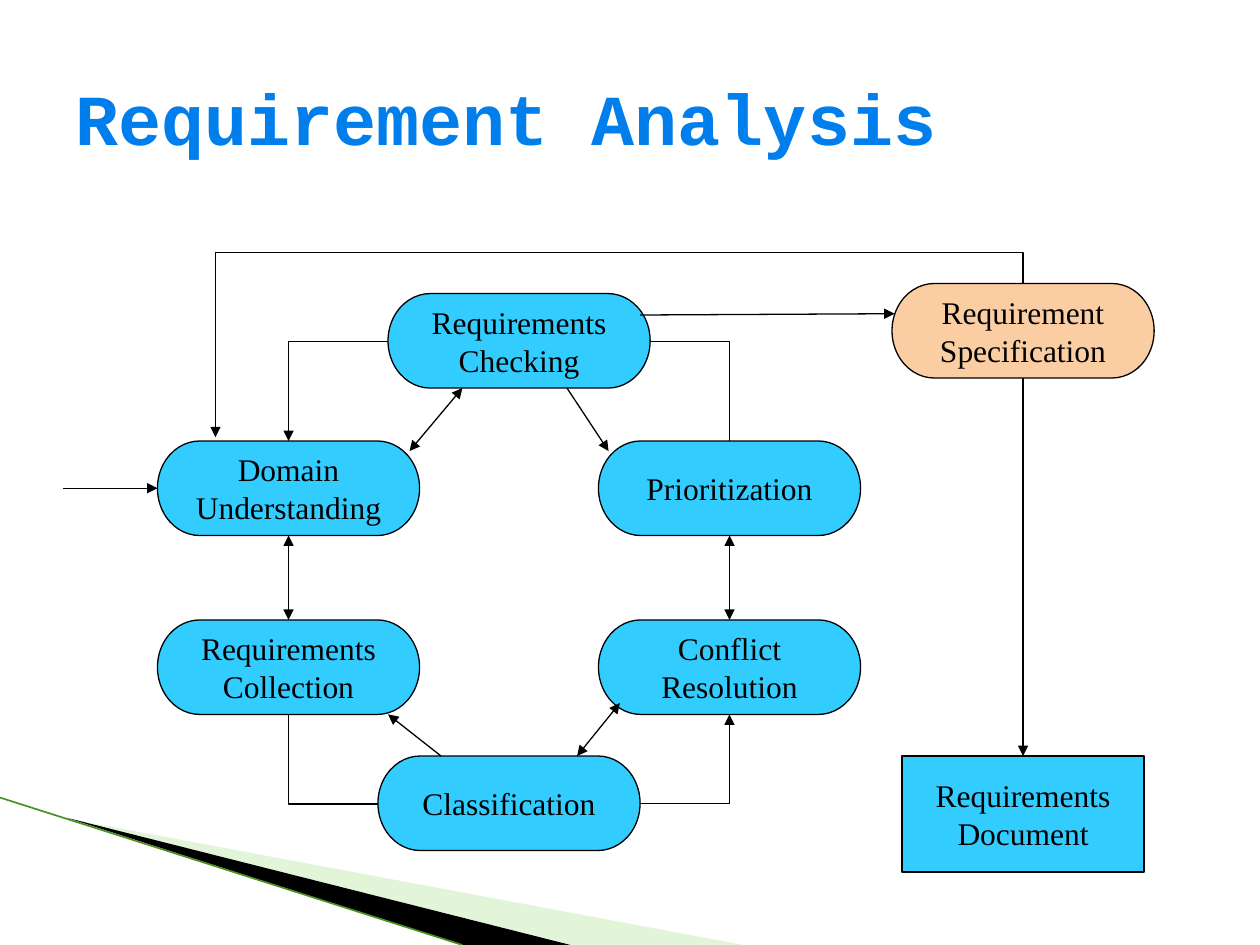
from lxml import etree
from pptx import Presentation
from pptx.dml.color import RGBColor
from pptx.enum.shapes import MSO_CONNECTOR, MSO_SHAPE
from pptx.enum.text import MSO_ANCHOR, PP_ALIGN
from pptx.oxml.ns import qn
from pptx.util import Inches, Pt

PILL = MSO_SHAPE.FLOWCHART_TERMINATOR
RECT = MSO_SHAPE.RECTANGLE
STRAIGHT = MSO_CONNECTOR.STRAIGHT
ELBOW = MSO_CONNECTOR.ELBOW
MIDDLE = MSO_ANCHOR.MIDDLE
CENTER = PP_ALIGN.CENTER
TOP, LEFT, BOTTOM, RIGHT = range(4)

COLORS = {"title": "007EEB", "node": "33CCFF", "spec": "FBCDA3",
          "ink": "000000", "pale": "B8E7A1", "edge": "4E9020"}


class Chart:
    def __init__(self, slide):
        self.shapes = slide.shapes
        self.font = "Times New Roman"

    def color(self, name):
        return RGBColor.from_string(COLORS[name])

    def style(self, para, size, color, font, bold=False):
        para.font.size = Pt(size)
        para.font.name = font
        para.font.bold = bold
        para.font.color.rgb = self.color(color)

    def title(self, text):
        box = self.shapes.add_textbox(Inches(0.5), Inches(0.3), Inches(9), Inches(1.25))
        frame = box.text_frame
        frame.word_wrap = True
        frame.vertical_anchor = MIDDLE
        frame.text = text
        self.style(frame.paragraphs[0], 41, "title", "Courier New", True)

    def node(self, x, y, text, fill="node", kind=PILL, w=2.08, h=0.75):
        shape = self.shapes.add_shape(kind, Inches(x), Inches(y), Inches(w), Inches(h))
        shape.shadow.inherit = False
        shape.fill.solid()
        shape.fill.fore_color.rgb = self.color(fill)
        shape.line.color.rgb = self.color("ink")
        shape.line.width = Pt(0.75)
        frame = shape.text_frame
        frame.word_wrap = False
        frame.vertical_anchor = MIDDLE
        frame.text = text
        for para in frame.paragraphs:
            para.alignment = CENTER
            self.style(para, 18, "ink", self.font)
        return shape

    def line(self, start, end, head=False, tail=True, kind=STRAIGHT, color="ink", width=0.75):
        link = self.shapes.add_connector(kind, *map(Inches, start + end))
        link.line.color.rgb = self.color(color)
        link.line.width = Pt(width)
        props = link._element.spPr
        outline = props.find(qn("a:ln"))
        for tag, shown in (("a:headEnd", head), ("a:tailEnd", tail)):
            if shown:
                etree.SubElement(outline, qn(tag), type="triangle")
        etree.SubElement(props, qn("a:effectLst"))
        return link

    def join(self, source, out, target, into, head=False):
        link = self.line((0, 0), (1, 1), head)
        link.begin_connect(source, out)
        link.end_connect(target, into)

    def bend(self, start, end, upright=False, tail=True, adjust=()):
        if upright:
            mid_x, mid_y = (start[0] + end[0]) / 2, (start[1] + end[1]) / 2
            half_x, half_y = (end[0] - start[0]) / 2, (end[1] - start[1]) / 2
            start = (mid_x - half_y, mid_y + half_x)
            end = (mid_x + half_y, mid_y - half_x)
        link = self.line(start, end, tail=tail, kind=ELBOW)
        props = link._element.spPr
        if upright:
            props.find(qn("a:xfrm")).set("rot", "5400000")
        shape = props.find(qn("a:prstGeom"))
        shape.set("prst", f"bentConnector{2 + len(adjust)}")
        guides = shape.find(qn("a:avLst"))
        for index, value in enumerate(adjust, 1):
            etree.SubElement(guides, qn("a:gd"), name=f"adj{index}",
                             fmla=f"val {round(value * 100000)}")

    def wedge(self, points, fill, alpha=100):
        first, *rest = [tuple(map(Inches, point)) for point in points]
        path = self.shapes.build_freeform(*first, scale=1.0)
        path.add_line_segments(rest, close=True)
        shape = path.convert_to_shape()
        shape.shadow.inherit = False
        shape.fill.solid()
        shape.fill.fore_color.rgb = self.color(fill)
        shape.line.fill.background()
        if alpha < 100:
            tint = shape._element.spPr.find(qn("a:solidFill"))[0]
            etree.SubElement(tint, qn("a:alpha"), val=str(alpha * 1000))


def main():
    deck = Presentation()
    deck.slide_width, deck.slide_height = Inches(10), Inches(7.5)
    chart = Chart(deck.slides.add_slide(deck.slide_layouts[6]))

    chart.wedge([(0.55, 6.5), (5.9, 7.5), (4.54, 7.5)], "pale", 40)
    chart.wedge([(0.53, 6.49), (4.53, 7.5), (3.67, 7.5)], "ink")
    chart.line((0, 6.33), (3.67, 7.5), tail=False, color="edge", width=0.95)
    chart.title("Requirement Analysis")

    domain = chart.node(1.25, 3.5, "Domain\nUnderstanding")
    collect = chart.node(1.25, 4.92, "Requirements\nCollection")
    rank = chart.node(4.75, 3.5, "Prioritization")
    solve = chart.node(4.75, 4.92, "Conflict\nResolution")
    chart.node(3.08, 2.33, "Requirements\nChecking")
    chart.node(3, 6, "Classification")
    spec = chart.node(7.08, 2.25, "Requirement\nSpecification", "spec")
    paper = chart.node(7.16, 6, "Requirements\nDocument", kind=RECT, w=1.92, h=0.92)

    chart.join(domain, BOTTOM, collect, TOP, head=True)
    chart.join(rank, BOTTOM, solve, TOP, head=True)
    chart.join(spec, BOTTOM, paper, TOP)
    entry = chart.line((0.5, 3.88), (1.25, 3.88))
    entry.end_connect(domain, LEFT)
    entry.begin_y = entry.end_y

    chart.line((3.25, 3.58), (3.67, 3.08), head=True)
    chart.line((4.5, 3.08), (4.83, 3.58))
    chart.line((3.5, 6), (3.08, 5.67))
    chart.line((4.92, 5.58), (4.58, 6), head=True)
    chart.line((5.08, 2.5), (7.1, 2.49))

    chart.bend((5.79, 3.5), (5.17, 2.71), upright=True, tail=False)
    chart.bend((3.08, 2.71), (2.29, 3.5))
    chart.bend((2.29, 5.67), (3, 6.38), upright=True, tail=False)
    chart.bend((5.08, 6.38), (5.79, 5.67))
    chart.bend((8.12, 2.25), (1.71, 3.47), upright=True, adjust=(-0.2, 1))

    deck.save("out.pptx")


if __name__ == "__main__":
    main()
